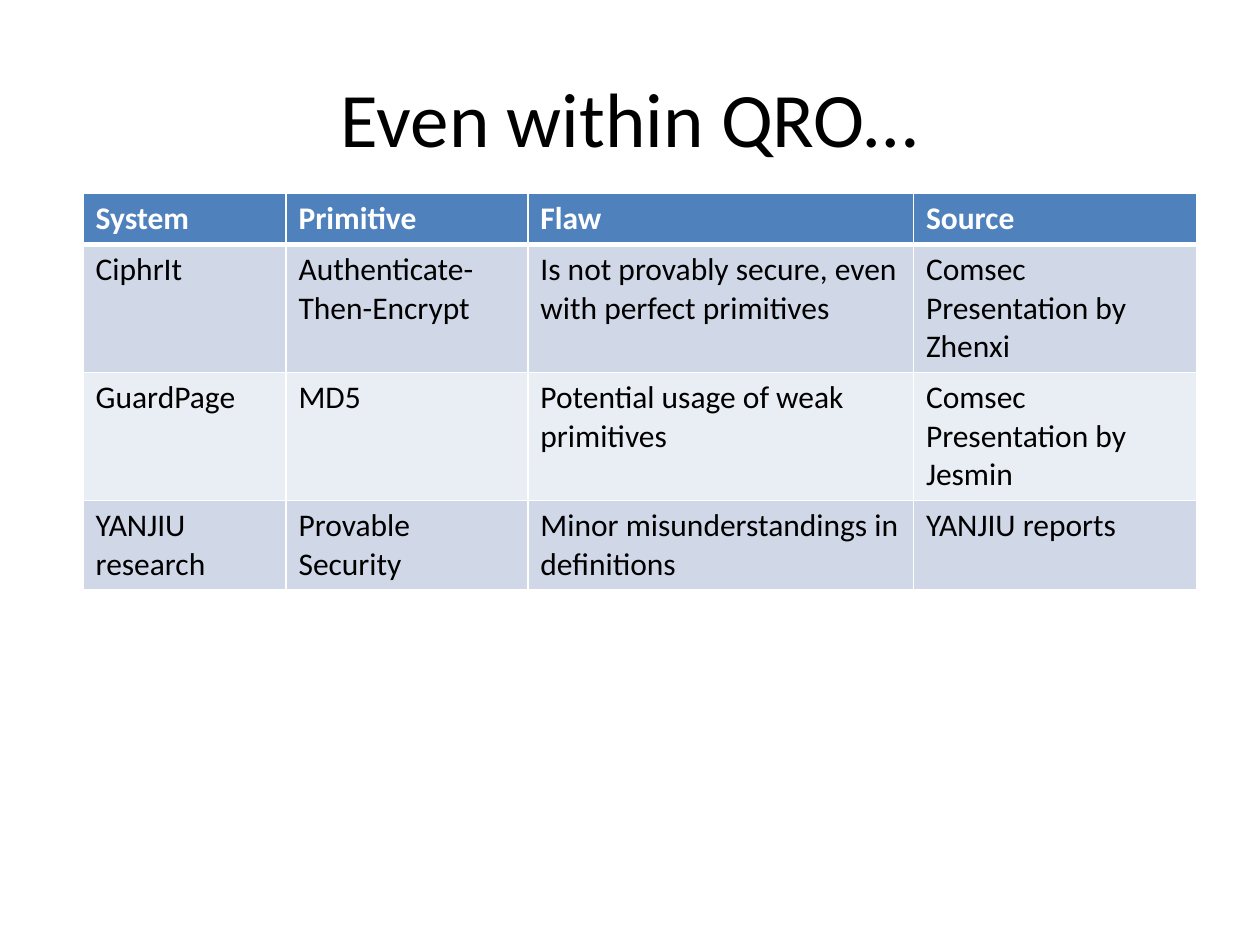
"""Build a slide with a table of cryptographic flaws found in internal systems."""
from lxml.etree import SubElement
from pptx import Presentation
from pptx.dml.color import RGBColor
from pptx.enum.text import MSO_ANCHOR, PP_ALIGN
from pptx.oxml.ns import qn
from pptx.util import Inches, Pt

HEADING = "Even within QRO…"
COLUMNS = [("System", 1.61), ("Primitive", 1.92), ("Flaw", 3.06), ("Source", 2.25)]
FINDINGS = [
    ("CiphrIt", "Authenticate-Then-Encrypt",
     "Is not provably secure, even with perfect primitives",
     "Comsec Presentation by Zhenxi"),
    ("GuardPage", "MD5", "Potential usage of weak primitives",
     "Comsec Presentation by Jesmin"),
    ("YANJIU research", "Provable Security",
     "Minor misunderstandings in definitions", "YANJIU reports"),
]
THEME = {
    "font": "Calibri",
    "heading": {"size": Pt(44), "bold": False, "color": "000000"},
    "header": {"size": Pt(18), "bold": True, "color": "FFFFFF"},
    "body": {"size": Pt(18), "bold": False, "color": "000000"},
    "header_fill": "4F81BD",
    "bands": ("D0D8E8", "E9EDF4"),
    "border": "FFFFFF",
}
HEADING_BOX = {"left": 0.5, "top": 0.3, "width": 9, "height": 1.25}
TABLE_LEFT, TABLE_TOP, ROW_HEIGHT = 0.66, 1.53, 0.41


def style_text(frame, role):
    font = frame.paragraphs[0].runs[0].font
    font.color.rgb = RGBColor.from_string(THEME[role]["color"])
    formats = {"name": THEME["font"], "size": THEME[role]["size"], "bold": THEME[role]["bold"]}
    for attribute, value in formats.items():
        setattr(font, attribute, value)


def add_borders(cell, widths):
    properties = cell._tc.get_or_add_tcPr()
    for side, width in widths.items():
        line = SubElement(properties, qn(f"a:ln{side}"), w=str(Pt(width)))
        SubElement(SubElement(line, qn("a:solidFill")), qn("a:srgbClr"), val=THEME["border"])


deck = Presentation()
deck.slide_width, deck.slide_height = Inches(10), Inches(7.5)
slide = deck.slides.add_slide(deck.slide_layouts[5])

heading = slide.shapes.title
for attribute, value in HEADING_BOX.items():
    setattr(heading, attribute, Inches(value))
heading.text_frame.text = HEADING
heading.text_frame.vertical_anchor = MSO_ANCHOR.MIDDLE
heading.text_frame.paragraphs[0].alignment = PP_ALIGN.CENTER
style_text(heading.text_frame, "heading")

names, widths = zip(*COLUMNS)
rows = [names, *FINDINGS]
flaws = slide.shapes.add_table(
    len(rows), len(names), Inches(TABLE_LEFT), Inches(TABLE_TOP),
    Inches(sum(widths)), Inches(ROW_HEIGHT * len(rows))).table
for column, width in zip(flaws.columns, widths):
    column.width = Inches(width)

for r, entries in enumerate(rows):
    is_header = r == 0
    fill = THEME["header_fill"] if is_header else THEME["bands"][(r - 1) % 2]
    borders = {"L": 1, "R": 1, "T": 3 if r == 1 else 1, "B": 3 if is_header else 1}
    for c, entry in enumerate(entries):
        cell = flaws.cell(r, c)
        cell.text = entry
        style_text(cell.text_frame, "header" if is_header else "body")
        add_borders(cell, borders)
        cell.fill.solid()
        cell.fill.fore_color.rgb = RGBColor.from_string(fill)

deck.save("out.pptx")
